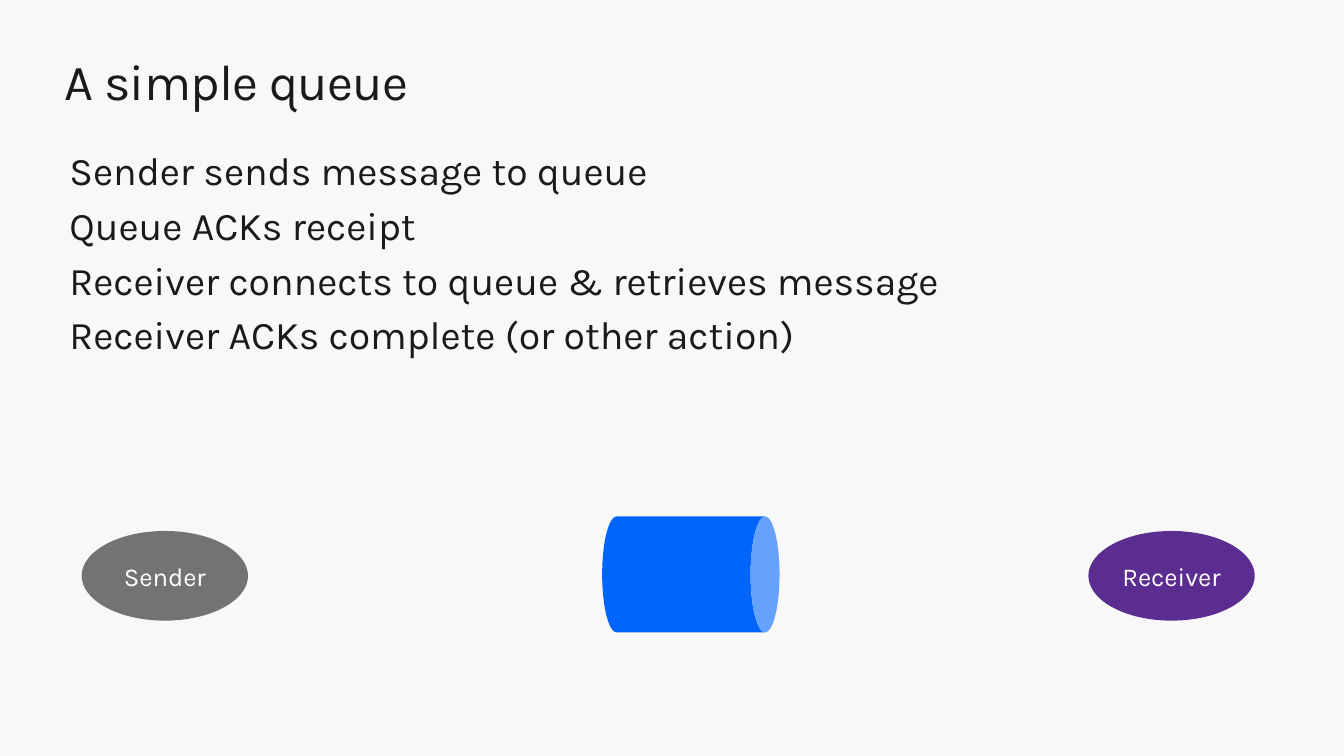
from pptx import Presentation
from pptx.dml.color import RGBColor
from pptx.enum import shapes, text
from pptx.util import Cm, Pt

FONT = "Karla"
BACKGROUND = RGBColor(0xF8, 0xF8, 0xF8)
INK = RGBColor(0x1A, 0x1A, 0x1A)
WHITE = RGBColor(0xFF, 0xFF, 0xFF)
GREY = RGBColor(0x73, 0x73, 0x73)
PURPLE = RGBColor(0x5C, 0x2D, 0x91)
BLUE = RGBColor(0x00, 0x65, 0xFC)

STEPS = [
    "Sender sends message to queue",
    "Queue ACKs receipt",
    "Receiver connects to queue & retrieves message",
    "Receiver ACKs complete (or other action)",
]


def set_font(p, size, color):
    """Give a paragraph its font, size and colour."""
    p.font.name = FONT
    p.font.size = Pt(size)
    p.font.color.rgb = color


def add_text(slide, lines, left, top, width, height, size, gap=0, spacing=0):
    """Add a text box without insets, one paragraph per line."""
    tf = slide.shapes.add_textbox(Cm(left), Cm(top), Cm(width), Cm(height)).text_frame
    tf.word_wrap = True
    tf.margin_left = tf.margin_right = tf.margin_top = tf.margin_bottom = 0
    for i, line in enumerate(lines):
        p = tf.add_paragraph() if i else tf.paragraphs[0]
        r = p.add_run()
        r.text = line
        if spacing:
            r.font._element.set("spc", str(spacing))
        if i:
            p.space_before = Pt(gap)
        set_font(p, size, INK)


def add_solid(slide, kind, left, top, width, height, color):
    """Add a filled preset shape without outline or shadow."""
    sp = slide.shapes.add_shape(kind, Cm(left), Cm(top), Cm(width), Cm(height))
    sp.shadow.inherit = False
    sp.fill.solid()
    sp.fill.fore_color.rgb = color
    sp.line.fill.background()
    return sp


def add_endpoint(slide, label, left, color):
    """Add a labelled ellipse for one end of the queue."""
    sp = add_solid(slide, shapes.MSO_SHAPE.OVAL, left, 13.38, 4.19, 2.26, color)
    tf = sp.text_frame
    tf.margin_left = tf.margin_right = 0
    tf.vertical_anchor = text.MSO_ANCHOR.MIDDLE
    p = tf.paragraphs[0]
    p.text = label
    p.alignment = text.PP_ALIGN.CENTER
    set_font(p, 18.4, WHITE)


def main():
    """Build the queue slide and save it."""
    prs = Presentation()
    prs.slide_width, prs.slide_height = Cm(33.87), Cm(19.05)
    slide = prs.slides.add_slide(prs.slide_layouts[6])
    slide.background.fill.solid()
    slide.background.fill.fore_color.rgb = BACKGROUND

    add_text(slide, ["A simple queue"], 1.63, 1.27, 30.61, 1.55, 36, spacing=-50)
    add_text(slide, STEPS, 1.75, 3.68, 30.35, 5.51, 28, gap=5.6)
    add_endpoint(slide, "Sender", 2.06, GREY)
    add_endpoint(slide, "Receiver", 27.43, PURPLE)
    queue = add_solid(slide, shapes.MSO_SHAPE.CAN, 15.95, 12.24, 2.92, 4.47, BLUE)
    queue.rotation = 90

    prs.save("out.pptx")


if __name__ == "__main__":
    main()
